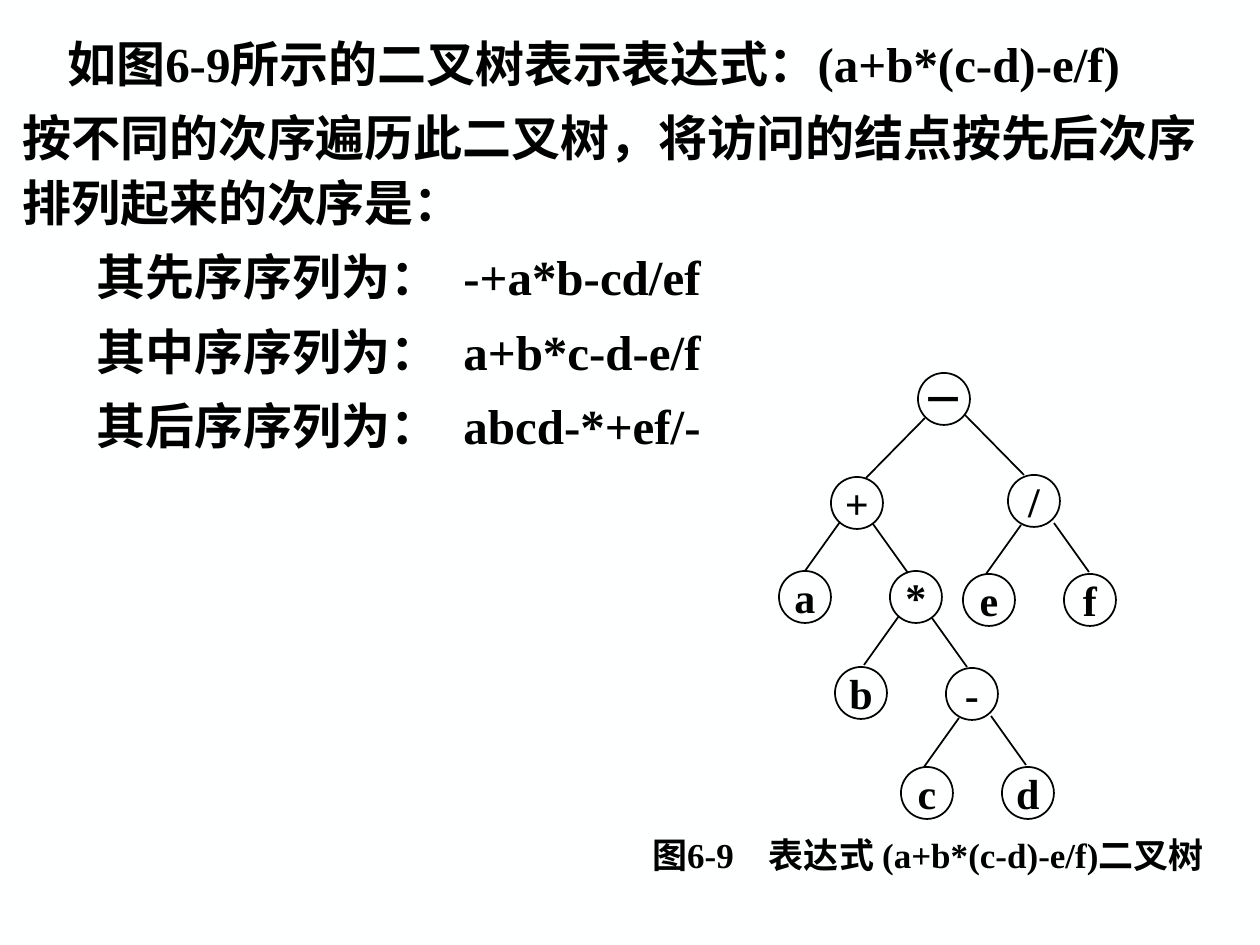
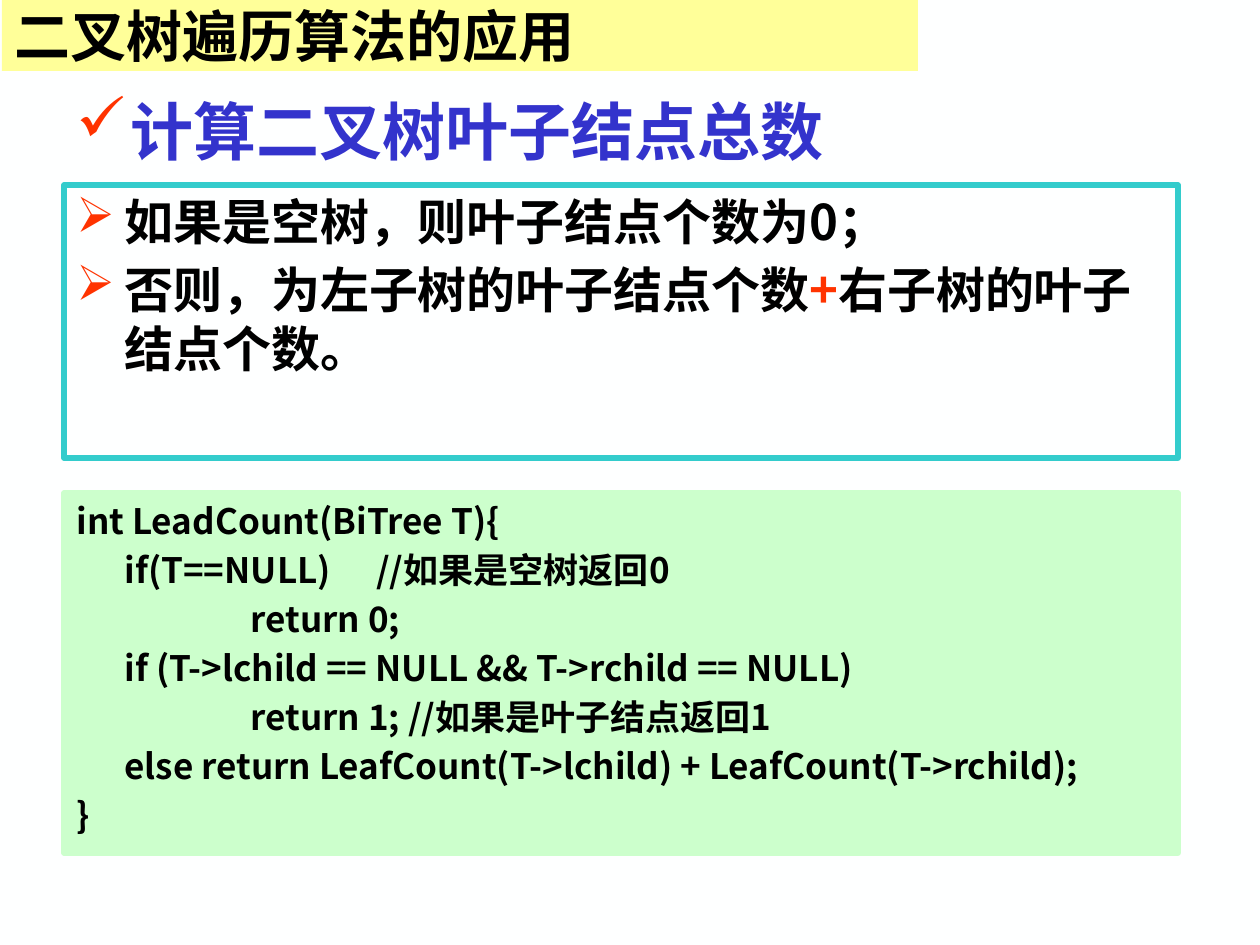
from pptx import Presentation
from pptx.dml.color import RGBColor
from pptx.enum.shapes import MSO_CONNECTOR, MSO_SHAPE
from pptx.enum.text import MSO_ANCHOR, MSO_AUTO_SIZE, PP_ALIGN
from pptx.oxml.ns import qn
from pptx.util import Emu, Pt
from lxml import etree

RECT, OVAL = MSO_SHAPE.RECTANGLE, MSO_SHAPE.OVAL
STRAIGHT = MSO_CONNECTOR.STRAIGHT
LEFT, CENTER = PP_ALIGN.LEFT, PP_ALIGN.CENTER
TOP, MIDDLE = MSO_ANCHOR.TOP, MSO_ANCHOR.MIDDLE
NO_AUTOFIT = MSO_AUTO_SIZE.NONE

PX_PER_INCH = 126
TITLE_ONLY, BLANK = 5, 6
CJK, SERIF, SANS = "Noto Sans CJK SC", "Times New Roman", "Arial"
BLACK, PAPER, RED, BLUE = "000000", "FEFFFF", "FF3300", "3333CC"
YELLOW, TEAL, GREEN = "FFFF99", "33CCCC", "CCFFCC"

# Tree: label, left, top of each node; then edges as start point and direction
NODE_SIZE = 52
NODES = [
    ("－", 918, 373), ("+", 831, 477), ("/", 1008, 475),
    ("a", 779, 571), ("*", 890, 571), ("e", 963, 574), ("f", 1064, 574),
    ("b", 835, 667), ("-", 946, 668), ("c", 901, 767), ("d", 1002, 767),
]
ROOT_STEP, CHILD_STEP = (59, 60), (35, 49)
ROOT_EDGES = [(925, 418, -1), (965, 415, 1)]
CHILD_EDGES = [
    (840, 522, -1), (873, 524, 1), (1021, 525, -1), (1054, 523, 1),
    (899, 616, -1), (932, 618, 1), (959, 718, -1), (991, 716, 1),
]

TRAVERSALS = [
    ("其先序序列为：", "-+a*b-cd/ef", 450),
    ("其中序序列为：", "a+b*c-d-e/f", 462),
    ("其后序序列为：", "abcd-*+ef/-", 462),
]
CODE = """int LeadCount(BiTree T){
 \tif(T==NULL) \t//如果是空树返回0
\t\treturn 0;
\tif (T->lchild == NULL && T->rchild == NULL)
\t\treturn 1; //如果是叶子结点返回1
\telse return LeafCount(T->lchild) + LeafCount(T->rchild);
}"""


def px(n):
    return Emu(round(n * 914400 / PX_PER_INCH))


def rgb(hex_colour):
    return RGBColor.from_string(hex_colour)


def paint(s, fill=None, line=None, width=1):
    if fill:
        s.fill.solid()
        s.fill.fore_color.rgb = rgb(fill)
    else:
        s.fill.background()
    if line:
        s.line.color.rgb = rgb(line)
        s.line.width = Pt(width)
    else:
        s.line.fill.background()


def frame(s, anchor=TOP, wrap=True):
    tf = s.text_frame
    tf.auto_size = NO_AUTOFIT
    tf.word_wrap = wrap
    tf.vertical_anchor = anchor
    return tf


def add_text_box(slide, x, y, w, h, anchor=TOP):
    return frame(slide.shapes.add_textbox(px(x), px(y), px(w), px(h)), anchor)


def add_shape(slide, kind, x, y, w, h, fill=None, line=None, width=1):
    s = slide.shapes.add_shape(kind, px(x), px(y), px(w), px(h))
    s.shadow.inherit = False
    paint(s, fill, line, width)
    return s


def indent(p, margin, first):
    pPr = p._p.get_or_add_pPr()
    pPr.set("marL", str(px(margin)))
    pPr.set("indent", str(px(first)))
    return pPr


def add_bullet(p, char, hang):
    pPr = indent(p, hang, -hang)
    colour = etree.SubElement(pPr, qn("a:buClr"))
    etree.SubElement(colour, qn("a:srgbClr"), val=RED)
    etree.SubElement(pPr, qn("a:buChar"), char=char)


def add_tab(p, position):
    tabs = etree.SubElement(p._p.get_or_add_pPr(), qn("a:tabLst"))
    etree.SubElement(tabs, qn("a:tab"), pos=str(px(position)), algn="l")


def next_paragraph(tf, before=0, spacing=None):
    """Use the empty first paragraph, or add one with space before it."""
    if tf.paragraphs[0].runs:
        p = tf.add_paragraph()
        p.space_before = Pt(before)
    else:
        p = tf.paragraphs[0]
    p.alignment = LEFT
    if spacing:
        p.line_spacing = spacing
    return p


def write(p, size, *parts):
    """Each part is (text, font) or (text, font, colour)."""
    for text, font, *colour in parts:
        r = p.add_run()
        r.text = text
        r.font.size = Pt(size)
        r.font.bold = True
        r.font.name = font
        r.font.color.rgb = rgb(colour[0] if colour else BLACK)
        etree.SubElement(r._r.get_or_add_rPr(), qn("a:ea"), typeface=CJK)


def add_node(slide, label, x, y):
    s = add_shape(slide, OVAL, x, y, NODE_SIZE, NODE_SIZE, line=BLACK)
    tf = frame(s, MIDDLE, wrap=False)
    tf.margin_left = tf.margin_right = tf.margin_top = tf.margin_bottom = 0
    p = next_paragraph(tf)
    p.alignment = CENTER
    write(p, 24, (label, SERIF))


def add_edge(slide, x, y, side, step):
    c = slide.shapes.add_connector(
        STRAIGHT, px(x), px(y), px(x + side * step[0]), px(y + step[1]))
    c.line.color.rgb = rgb(BLACK)
    c.line.width = Pt(1)
    etree.SubElement(c._element.spPr, qn("a:effectLst"))


def add_tree(slide):
    for label, x, y in NODES:
        add_node(slide, label, x, y)
    for edges, step in ((ROOT_EDGES, ROOT_STEP), (CHILD_EDGES, CHILD_STEP)):
        for x, y, side in edges:
            add_edge(slide, x, y, side, step)


def build_expression_slide(prs):
    slide = prs.slides.add_slide(prs.slide_layouts[BLANK])

    # Explanation and the three traversal orders
    tf = add_text_box(slide, 10, 21, 1239, 449)
    p = next_paragraph(tf, spacing=1.1)
    indent(p, 0, 45)
    write(p, 28, ("如图", CJK), ("6-9", SERIF),
          ("所示的二叉树表示表达式：", CJK), ("(a+b*(c-d)-e/f)", SERIF))
    p = next_paragraph(tf, 5.6, 1.1)
    write(p, 28, ("按不同的次序遍历此二叉树，将访问的结点按先后次序"
                  "排列起来的次序是：", CJK))
    for name, order, tab in TRAVERSALS:
        p = next_paragraph(tf, 5.6, 1.1)
        indent(p, 0, 74)
        add_tab(p, tab)
        write(p, 28, (name + "\t", CJK), (order, SERIF))

    # Tree and its caption
    add_tree(slide)
    tf = add_text_box(slide, 622, 830, 612, 49, MIDDLE)
    p = next_paragraph(tf)
    p.alignment = CENTER
    write(p, 20, ("图", SANS), ("6-9　", SERIF), ("表达式 ", CJK),
          ("(a+b*(c-d)-e/f)二叉树", SERIF))


def build_leaf_count_slide(prs):
    slide = prs.slides.add_slide(prs.slide_layouts[TITLE_ONLY])

    # Title band
    s = slide.shapes.title
    s.left, s.top, s.width, s.height = px(2), px(0), px(916), px(71)
    paint(s, YELLOW)
    write(next_paragraph(frame(s, MIDDLE)), 32, ("二叉树遍历算法的应用", CJK))

    # Topic
    p = next_paragraph(add_text_box(slide, 64, 86, 823, 88, MIDDLE))
    add_bullet(p, "✓", 54)
    write(p, 36, ("计算二叉树叶子结点总数", CJK, BLUE))

    # Rules
    tf = frame(add_shape(slide, RECT, 64, 185, 1114, 273, line=TEAL, width=3))
    rules = [
        [("如果是空树，则叶子结点个数为0；", CJK)],
        [("否则，为左子树的", CJK), ("叶子", SERIF), ("结点个数", CJK),
         ("+", CJK, RED), ("右子树的", CJK), ("叶子", SERIF),
         ("结点个数。", CJK)],
    ]
    for parts in rules:
        p = next_paragraph(tf, 5.6)
        add_bullet(p, "➢", 48)
        write(p, 28, *parts)

    # Code
    tf = frame(add_shape(slide, RECT, 64, 493, 1114, 360, GREEN, GREEN, 3))
    for line in CODE.split("\n"):
        p = next_paragraph(tf, 4)
        indent(p, 48, -48).set("defTabSz", str(px(PX_PER_INCH)))
        write(p, 20, (line, CJK))


def main():
    prs = Presentation()
    prs.slide_width, prs.slide_height = px(1260), px(945)
    background = prs.slide_master.background.fill
    background.solid()
    background.fore_color.rgb = rgb(PAPER)
    build_expression_slide(prs)
    build_leaf_count_slide(prs)
    prs.save("out.pptx")


if __name__ == "__main__":
    main()
